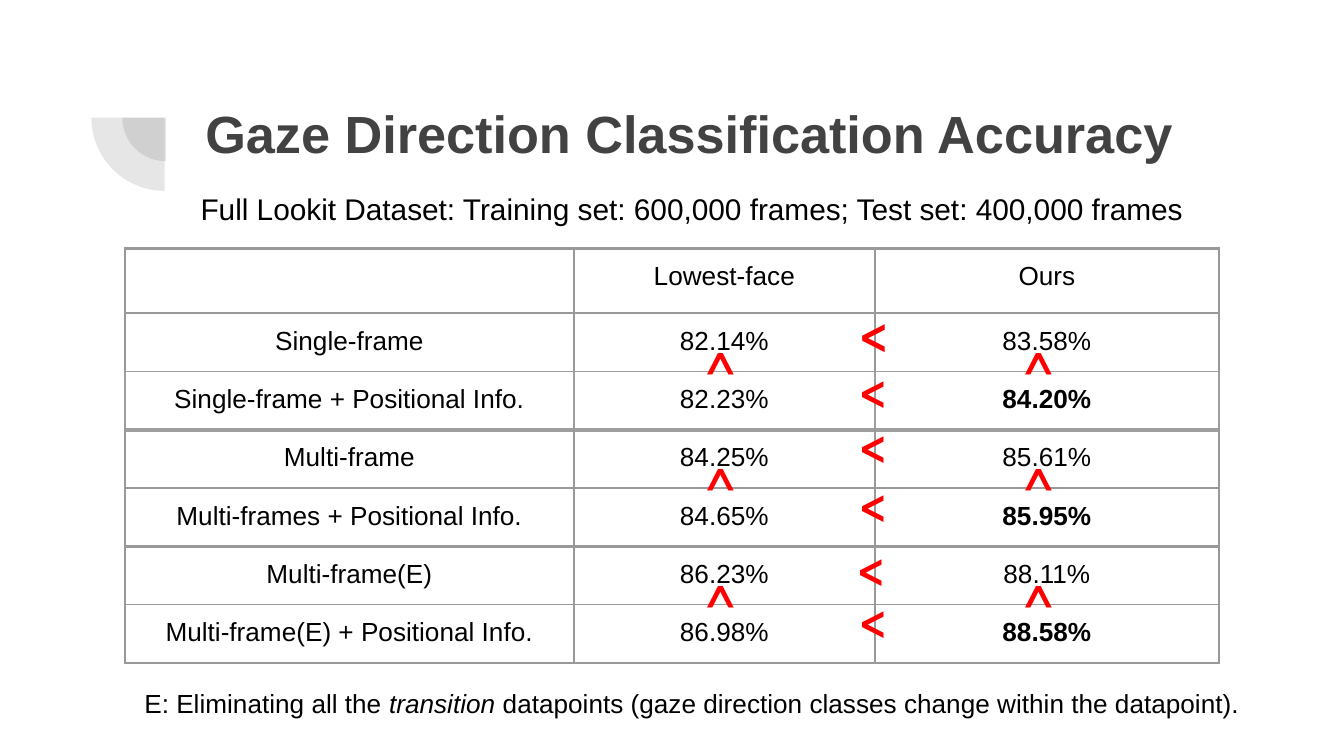
import pptx
import pptx.util
from lxml import etree
from pptx.dml.color import RGBColor
from pptx.enum.shapes import MSO_SHAPE
from pptx.enum.text import MSO_ANCHOR, MSO_AUTO_SIZE, PP_ALIGN
from pptx.oxml.ns import qn
from pptx.util import Inches

DARK = RGBColor(0x42, 0x42, 0x42)
BLACK = RGBColor(0, 0, 0)
RED = RGBColor(0xFF, 0, 0)
GRAY = RGBColor(0x99, 0x99, 0x99)
PALE = RGBColor(0x9E, 0x9E, 0x9E)

ROWS = [
    ("", "Lowest-face", "Ours"),
    ("Single-frame", "82.14%", "83.58%"),
    ("Single-frame + Positional Info.", "82.23%", "84.20%"),
    ("Multi-frame", "84.25%", "85.61%"),
    ("Multi-frames + Positional Info.", "84.65%", "85.95%"),
    ("Multi-frame(E)", "86.23%", "88.11%"),
    ("Multi-frame(E) + Positional Info.", "86.98%", "88.58%"),
]
# Horizontal rules from the top of the table down: colour and points
RULES = [(GRAY, 1.5), (GRAY, 1.5), (PALE, 0.75), (PALE, 2.25),
         (GRAY, 0.75), (GRAY, 2.25), (GRAY, 0.75), (GRAY, 1.5)]
COLS = (3.34, 2.24, 2.56)
HEAD = 0.48
BODY = 2.6 / 6


class Deck:
    face = "Arial"
    sign = "TeX Gyre Adventor"
    pad = Inches(0.1)

    def __init__(self):
        self.prs = pptx.Presentation()
        self.prs.slide_width = Inches(10)
        self.prs.slide_height = Inches(10 * 9 / 16)
        self.slide = self.prs.slides.add_slide(self.prs.slide_layouts[6])

    def style(self, para, size, color=BLACK, bold=False, face=face):
        font = para.font
        font.name = face
        font.size = pptx.util.Pt(size)
        font.bold = bold
        font.color.rgb = color

    def inset(self, item):
        item.margin_left = item.margin_right = self.pad
        item.margin_top = item.margin_bottom = self.pad

    def text(self, box, parts, size, align=PP_ALIGN.LEFT, space=1.0, **look):
        """Add a text box; every second part is italic."""
        shape = self.slide.shapes.add_textbox(*map(Inches, box))
        frame = shape.text_frame
        frame.word_wrap = True
        frame.auto_size = MSO_AUTO_SIZE.SHAPE_TO_FIT_TEXT
        self.inset(frame)
        para = frame.paragraphs[0]
        para.alignment = align
        para.line_spacing = space
        for i, part in enumerate(parts):
            run = para.add_run()
            run.text = part
            if i % 2:
                run.font.italic = True
        self.style(para, size, **look)
        return shape

    def note(self, box, parts, size):
        self.text(box, parts, size, PP_ALIGN.CENTER, 1.15)

    def mark(self, left, top, turn=0, size=20, wide=0.44, high=0.54):
        shape = self.text((left, top, wide, high), ["<"], size,
                          color=RED, bold=True, face=self.sign)
        shape.rotation = turn

    def pie(self, left, top, size):
        """Add a translucent lower-left quarter disc."""
        shape = self.slide.shapes.add_shape(
            MSO_SHAPE.PIE, *map(Inches, (left, top, size, size)))
        shape.rotation = 270
        shape.adjustments[0] = 108
        shape.adjustments[1] = 162
        shape.shadow.inherit = False
        shape.line.fill.background()
        shape.fill.solid()
        shape.fill.fore_color.rgb = DARK
        tone = shape.element.spPr.find(".//" + qn("a:srgbClr"))
        etree.SubElement(tone, qn("a:alpha"), val="13000")

    def edge(self, cell, side, color, width):
        props = cell._tc.get_or_add_tcPr()
        line = etree.SubElement(props, qn("a:ln" + side),
                                w=str(pptx.util.Pt(width)))
        fill = etree.SubElement(line, qn("a:solidFill"))
        etree.SubElement(fill, qn("a:srgbClr"), val=str(color))

    def cell(self, cell, row, text, bold):
        self.inset(cell)
        cell.vertical_anchor = MSO_ANCHOR.TOP
        side = PALE if row == 2 else GRAY
        self.edge(cell, "L", side, 1.5)
        self.edge(cell, "R", side, 1.5)
        self.edge(cell, "T", *RULES[row])
        self.edge(cell, "B", *RULES[row + 1])
        cell.fill.background()
        para = cell.text_frame.paragraphs[0]
        para.alignment = PP_ALIGN.CENTER
        if text:
            para.add_run().text = text
        self.style(para, 14, bold=bold)

    def table(self, left, top):
        high = HEAD + BODY * (len(ROWS) - 1)
        table = self.slide.shapes.add_table(
            len(ROWS), len(COLS),
            *map(Inches, (left, top, sum(COLS), high))).table
        table.first_row = table.horz_banding = False
        for col, wide in zip(table.columns, COLS):
            col.width = Inches(wide)
        for r, words in enumerate(ROWS):
            table.rows[r].height = Inches(BODY if r else HEAD)
            for c, word in enumerate(words):
                best = c == 2 and r > 0 and r % 2 == 0
                self.cell(table.cell(r, c), r, word, best)


def main():
    deck = Deck()
    deck.pie(0.91, 0.55, 0.65)
    deck.pie(0.68, 0.33, 1.09)
    deck.text((1.43, 0.65, 7.69, 1.09),
              ["Gaze Direction Classification Accuracy"], 28,
              color=DARK, bold=True)
    deck.table(0.93, 1.85)
    deck.note((0.37, 4.98, 9.56, 0.44),
              ["E: Eliminating all the ", "transition",
               " datapoints (gaze direction classes change within"
               " the datapoint)."], 14)
    deck.note((0.6, 1.28, 9.1, 0.47),
              ["Full Lookit Dataset: Training set: 600,000 frames; "
               "Test set: 400,000 frames"], 16)

    deck.mark(6.3, 2.2, size=21, wide=0.4, high=0.56)
    for left, top in ((6.3, 2.63), (6.3, 3.04), (6.3, 3.48),
                      (6.28, 3.96), (6.3, 4.34)):
        deck.mark(left, top)
    for pair in range(3):
        for left in (5.18, 7.55):
            deck.mark(left, 2.46 + 2 * BODY * pair, turn=90)
    deck.prs.save("out.pptx")


if __name__ == "__main__":
    main()
